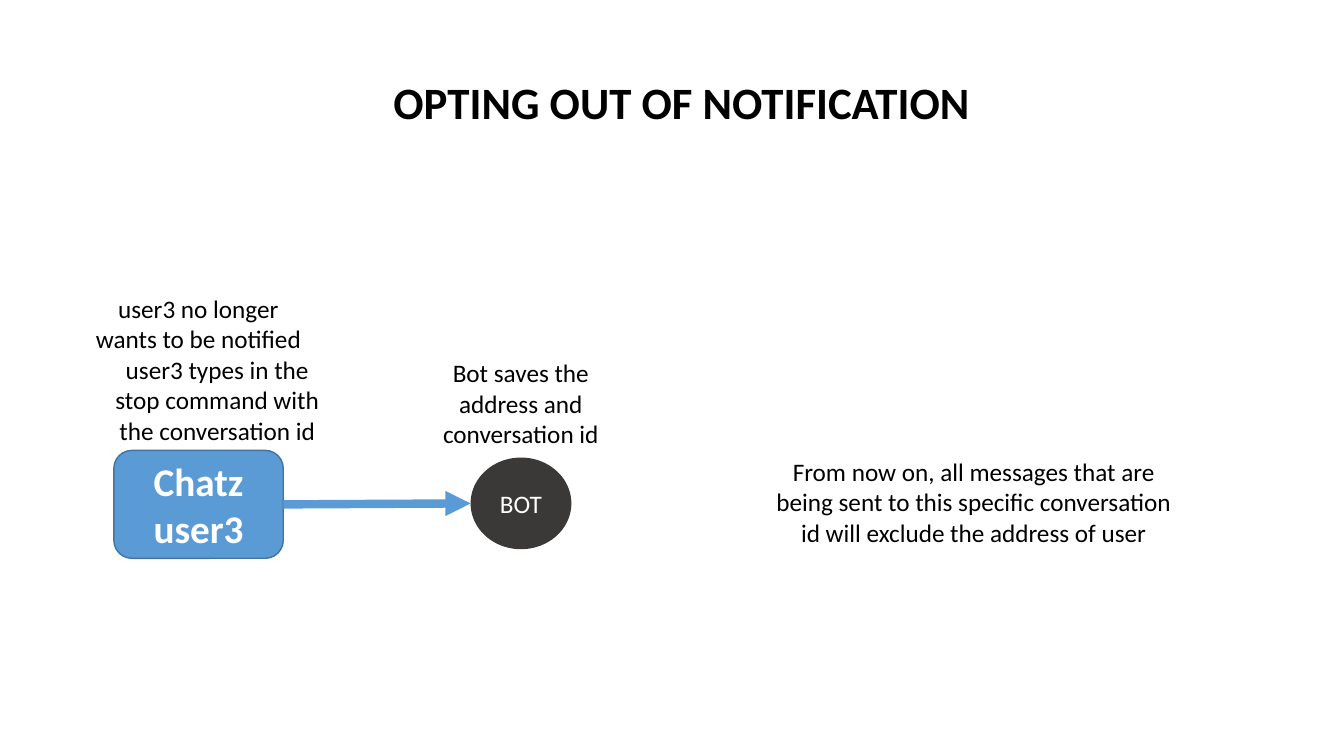
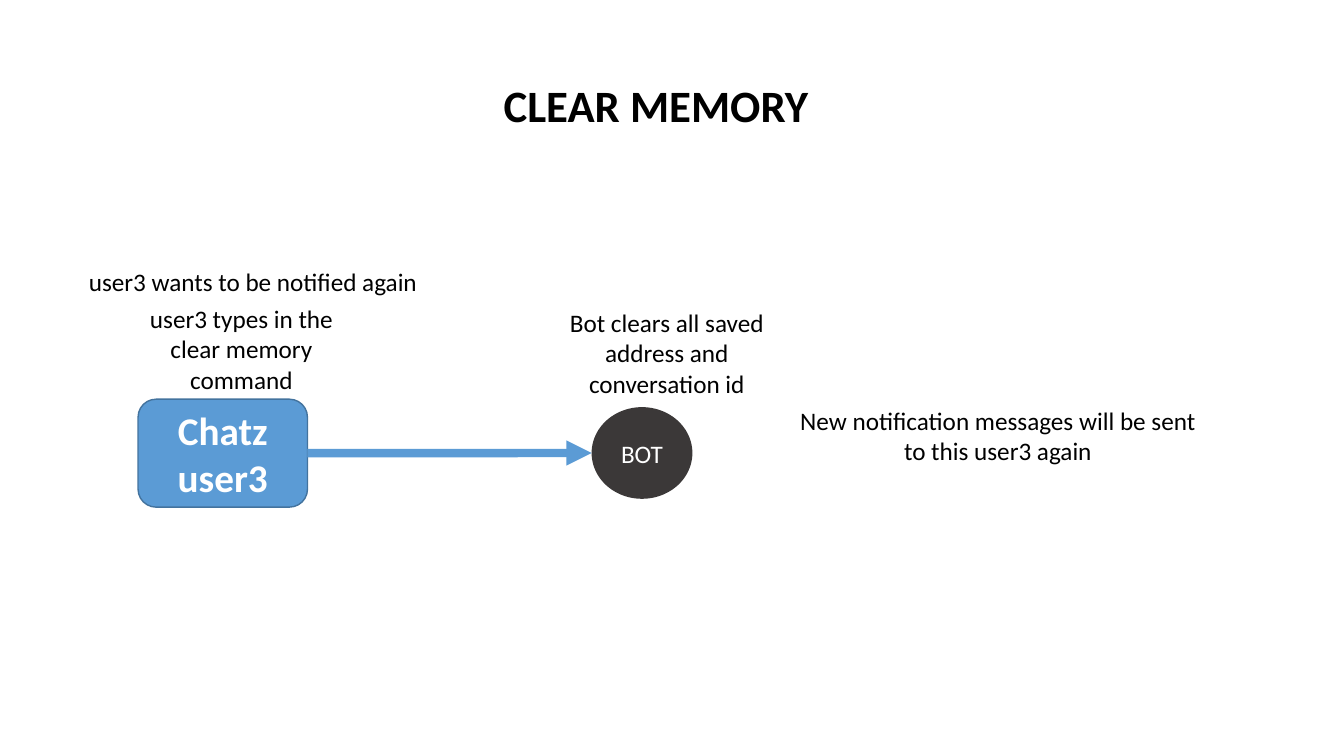
from lxml import etree
from pptx import Presentation
from pptx.dml.color import RGBColor
from pptx.enum.shapes import MSO_CONNECTOR, MSO_SHAPE
from pptx.enum.text import MSO_ANCHOR, MSO_AUTO_SIZE, PP_ALIGN
from pptx.oxml.ns import qn
from pptx.util import Cm, Pt

STRAIGHT = MSO_CONNECTOR.STRAIGHT
OVAL = MSO_SHAPE.OVAL
ROUNDED = MSO_SHAPE.ROUNDED_RECTANGLE
MIDDLE = MSO_ANCHOR.MIDDLE
GROW = MSO_AUTO_SIZE.SHAPE_TO_FIT_TEXT
CENTER = PP_ALIGN.CENTER

FONT = "Calibri"
BLACK = RGBColor(0x00, 0x00, 0x00)
WHITE = RGBColor(0xFF, 0xFF, 0xFF)
BLUE = RGBColor(0x5B, 0x9B, 0xD5)
BLUE_EDGE = RGBColor(0x43, 0x73, 0x9E)
CHARCOAL = RGBColor(0x3B, 0x38, 0x38)

BODY_SIZE = 18
NODE_SIZE = 28
TITLE_SIZE = 32
NOTE_WIDTH = 5.87
OUTCOME_WIDTH = 10.82

# Positions are (left, top) and boxes (left, top, width), all in centimetres.
FLOWS = [
    {
        "title": ("OPTING OUT OF NOTIFICATION", (7.87, 1.75, 18.62)),
        "user": (2.87, 11.35),
        "bot": (11.86, 11.53),
        "wish": (["user3 no longer", "wants to be notified"], (2.13, 7.26, 5.74)),
        "command": "user3 types in the stop command with the conversation id",
        "action": ("Bot saves the address and conversation id", 10.19),
        "outcome": ("From now on, all messages that are being sent to this specific "
                    "conversation id will exclude the address of user", (19.13, 11.38)),
    },
    {
        "title": ("CLEAR MEMORY", (9.4, 1.83, 14.27)),
        "user": (3.48, 10.06),
        "bot": (14.91, 10.26),
        "wish": (["user3 wants to be notified again"], (1.93, 6.58, 8.89)),
        "command": "user3 types in the clear memory command",
        "action": ("Bot clears all saved address and conversation id", 13.87),
        "outcome": ("New notification messages will be sent to this user3 again",
                    (19.74, 10.08)),
    },
]


def write_text(frame, lines, size, color, bold=False):
    """Fill a text frame with centred paragraphs of one style."""
    for index, line in enumerate(lines):
        paragraph = frame.add_paragraph() if index else frame.paragraphs[0]
        paragraph.text = line
        paragraph.alignment = CENTER
        paragraph.font.name = FONT
        paragraph.font.size = Pt(size)
        paragraph.font.bold = bold
        paragraph.font.color.rgb = color


def add_text(slide, lines, box, size=BODY_SIZE, bold=False, wrap=True):
    """Add a text box whose height follows its text."""
    left, top, width = box
    height = 0.25 + len(lines) * size * 0.043
    shape = slide.shapes.add_textbox(Cm(left), Cm(top), Cm(width), Cm(height))
    shape.text_frame.word_wrap = wrap
    shape.text_frame.auto_size = GROW
    write_text(shape.text_frame, lines, size, BLACK, bold)


def add_node(slide, kind, position, extent, text, size, fill, edge=None, bold=False):
    """Add a filled shape with a centred label."""
    shape = slide.shapes.add_shape(kind, *map(Cm, position + extent))
    shape.shadow.inherit = False
    shape.fill.solid()
    shape.fill.fore_color.rgb = fill
    if edge is None:
        shape.line.fill.background()
    else:
        shape.line.color.rgb = edge
        shape.line.width = Pt(1)
    shape.text_frame.word_wrap = True
    shape.text_frame.vertical_anchor = MIDDLE
    write_text(shape.text_frame, [text], size, WHITE, bold)
    return shape


def add_arrow(slide, source, target):
    """Draw an arrow from the right of one node to the left of another."""
    arrow = slide.shapes.add_connector(
        STRAIGHT,
        source.left + source.width, source.top + source.height // 2,
        target.left, target.top + target.height // 2,
    )
    arrow.line.color.rgb = BLUE
    arrow.line.width = Pt(6)
    etree.SubElement(arrow.line._get_or_add_ln(), qn("a:tailEnd"), type="triangle")
    etree.SubElement(arrow._element.spPr, qn("a:effectLst"))


def add_flow_slide(presentation, flow):
    """Build one slide: the user's request, the bot's action and the outcome."""
    slide = presentation.slides.add_slide(presentation.slide_layouts[6])
    title, title_box = flow["title"]
    add_text(slide, [title], title_box, TITLE_SIZE, bold=True)

    bot = add_node(slide, OVAL, flow["bot"], (2.54, 2.31), "BOT", BODY_SIZE, CHARCOAL)
    user = add_node(slide, ROUNDED, flow["user"], (4.27, 2.72), "Chatz user3",
                    NODE_SIZE, BLUE, BLUE_EDGE, bold=True)

    user_left, user_top = flow["user"]
    add_text(slide, [flow["command"]], (user_left - 0.33, user_top - 2.54, NOTE_WIDTH))
    wish, wish_box = flow["wish"]
    add_text(slide, wish, wish_box, wrap=False)
    add_arrow(slide, user, bot)

    action, action_left = flow["action"]
    add_text(slide, [action], (action_left, flow["bot"][1] - 2.64, NOTE_WIDTH))
    outcome, outcome_position = flow["outcome"]
    add_text(slide, [outcome], outcome_position + (OUTCOME_WIDTH,))


def main():
    """Create and save the presentation."""
    presentation = Presentation()
    presentation.slide_width = Cm(33.87)
    presentation.slide_height = Cm(19.05)
    for flow in FLOWS:
        add_flow_slide(presentation, flow)
    presentation.save("out.pptx")


main()
